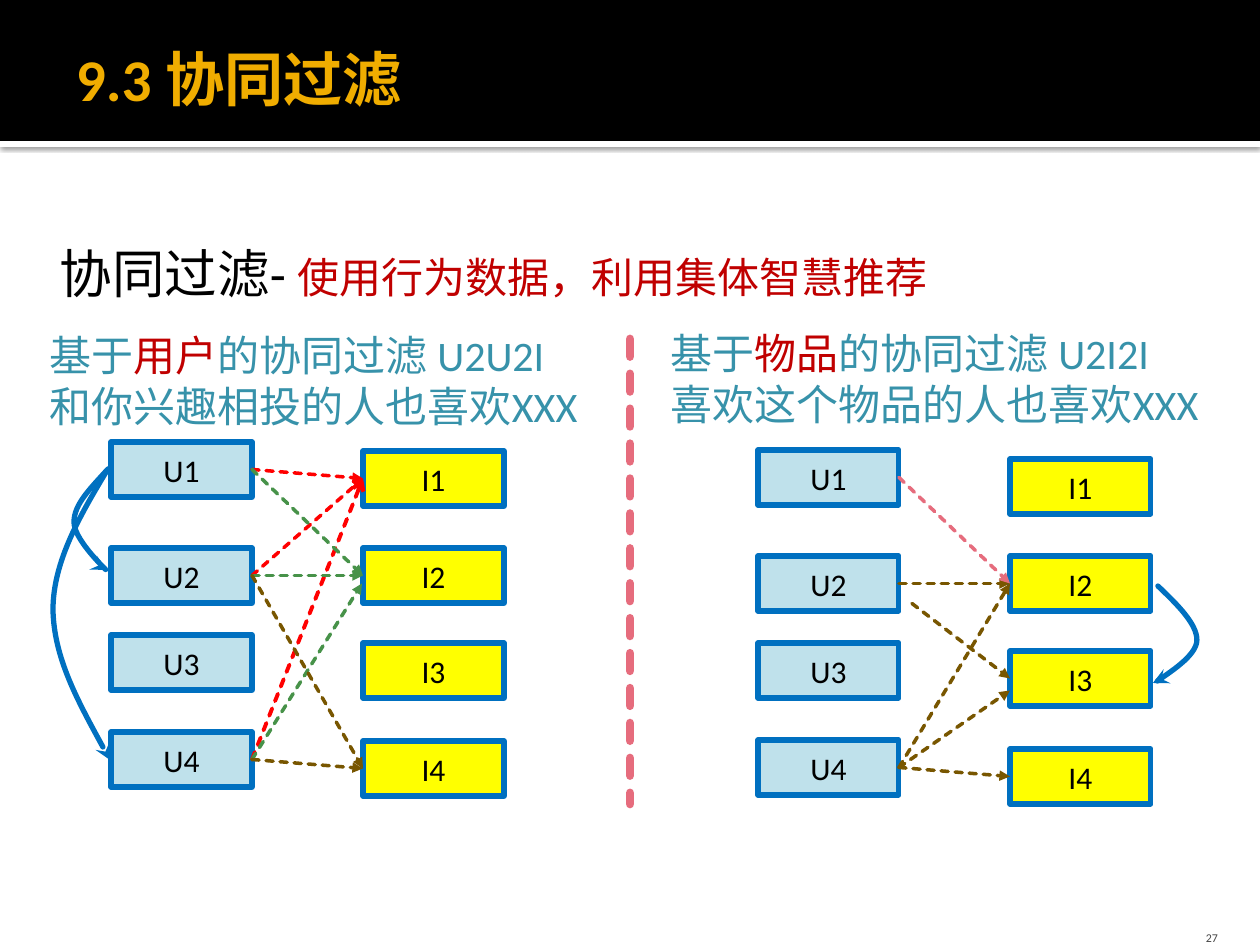
from lxml.etree import SubElement
from pptx import Presentation
from pptx.dml.color import RGBColor
from pptx.enum.dml import MSO_LINE
from pptx.enum.shapes import MSO_CONNECTOR, MSO_SHAPE
from pptx.enum.text import MSO_ANCHOR, MSO_AUTO_SIZE, PP_ALIGN
from pptx.oxml.ns import qn
from pptx.util import Pt

SCALE = 914400 / 126  # EMU per px
BLUE, TEAL, RED, PINK, BLACK = "0070C0", "3792AA", "C00000", "E66C7D", "000000"
GREEN, BROWN, BRIGHT_RED = "479249", "785600", "FF0000"
CJK = "Noto Sans CJK SC"

BOX_W, BOX_H = 141, 55
COLUMNS = {  # letter: (left, tops, fill)
    "U": (111, (442, 548, 635, 732), "BFE1EB"),
    "I": (363, (451, 548, 643, 741), "FFFF00"),
}
# links: user, item, colour, then format and offsets from the side middles
PANELS = [
    {
        "offset": (0, 0),
        "caption": (37, 324, "用户", "U2U2I", "和你兴趣相投的人也喜欢XXX"),
        "links": [
            ("U1", "I1", BRIGHT_RED, {}),
            ("U2", "I1", BRIGHT_RED, {}),
            ("U4", "I1", BRIGHT_RED, {"width": 2.25, "head": "arrow"}),
            ("U2", "I2", GREEN, {}),
            ("U1", "I2", GREEN, {}),
            ("U4", "I2", GREEN, {"end": (-1, 8)}),
            ("U2", "I4", BROWN, {}),
            ("U4", "I4", BROWN, {}),
        ],
        "curves": [
            [(107, 470), (91, 488), (74, 504), (74, 522), (74, 538), (107, 571),
             (107, 571), (112, 580), (110, 575), (107, 570)],
            [(108, 469), (81, 514), (53, 561), (53, 610), (54, 658), (82, 709),
             (110, 760)],
        ],
    },
    {
        "offset": (647, 8),
        "caption": (658, 322, "物品", "U2I2I", "喜欢这个物品的人也喜欢XXX"),
        "links": [
            ("U2", "I2", BROWN, {}),
            ("U2", "I3", BROWN, {"start": (13, 20)}),
            ("U4", "I2", BROWN, {}),
            ("U4", "I3", BROWN, {"end": (0, 12)}),
            ("U4", "I4", BROWN, {}),
            ("U1", "I2", PINK, {}),
        ],
        "curves": [
            [(1158, 586), (1178, 605), (1197, 624), (1197, 640), (1197, 656),
             (1162, 677), (1155, 683), (1148, 690), (1150, 687), (1153, 683)],
        ],
    },
]


def px(*values):
    return [round(v * SCALE) for v in values]


def rgb(color):
    return RGBColor.from_string(color)


def write(sp, paragraphs, font="Calibri", size=24, bold=False, align=PP_ALIGN.LEFT,
          anchor=MSO_ANCHOR.TOP, wrap=True, insets=(13, 6, 13, 6)):
    """Fill a shape with paragraphs, each a list of (text, colour, overrides)."""
    tf = sp.text_frame
    tf.auto_size = MSO_AUTO_SIZE.NONE if wrap else MSO_AUTO_SIZE.SHAPE_TO_FIT_TEXT
    tf.word_wrap, tf.vertical_anchor = wrap, anchor
    tf.margin_left, tf.margin_top, tf.margin_right, tf.margin_bottom = px(*insets)
    for i, runs in enumerate(paragraphs):
        p = tf.paragraphs[0] if i == 0 else tf.add_paragraph()
        p.alignment = align
        for text, color, own in runs:
            r = p.add_run()
            r.text = text
            r.font.name = own.get("font", font)
            r.font.size, r.font.bold = Pt(own.get("size", size)), bold
            r.font.color.rgb = rgb(color)
            SubElement(r.font._element, qn("a:ea"), typeface=CJK)


def add_text(s, box, paragraphs, **fmt):
    sp = s.shapes.add_textbox(*px(*box))
    write(sp, paragraphs, **fmt)


def add_rect(s, box, fill, line=None):
    sp = s.shapes.add_shape(MSO_SHAPE.RECTANGLE, *px(*box))
    sp.shadow.inherit = False
    sp.fill.solid()
    sp.fill.fore_color.rgb = rgb(fill)
    if line:
        sp.line.color.rgb, sp.line.width = rgb(line), Pt(3)
    else:
        sp.line.fill.background()
    return sp


def style_line(sp, color, width, dashed=False, head=None):
    sp.line.color.rgb, sp.line.width = rgb(color), Pt(width)
    if dashed:
        sp.line.dash_style = MSO_LINE.SQUARE_DOT
    ln = sp.element.xpath(".//a:ln")[0]
    ln.set("cap", "rnd")
    if head:
        SubElement(ln, qn("a:tailEnd"), type=head)


def add_dashed(s, start, end, color, width=2, head=None):
    c = s.shapes.add_connector(MSO_CONNECTOR.STRAIGHT, *px(*start, *end))
    style_line(c, color, width, True, head)
    SubElement(c.element.spPr, qn("a:effectLst"))
    return c


def add_curve(s, points):
    """Draw a Bézier arrow: a start point, then three points per segment."""
    builder = s.shapes.build_freeform(*points[0], scale=SCALE)
    builder.add_line_segments(points[1:], close=False)
    sp = builder.convert_to_shape()
    sp.shadow.inherit = False
    sp.fill.background()
    style_line(sp, BLUE, 3, head="stealth")
    outline = sp.element.xpath(".//a:path")[0]
    segments = outline.findall(qn("a:lnTo"))
    for i in range(0, len(segments), 3):
        bezier = SubElement(outline, qn("a:cubicBezTo"))
        for segment in segments[i:i + 3]:
            bezier.append(segment[0])
            outline.remove(segment)


def add_link(s, boxes, user, item, color, width=2, head="triangle", start=None, end=None):
    def side(name, right, shift):
        x, y = boxes[name][1]
        dx, dy = shift or (0, 0)
        return x + BOX_W * right + dx, y + BOX_H / 2 + dy

    c = add_dashed(s, side(user, 1, start), side(item, 0, end), color, width, head)
    if not start:
        c.begin_connect(boxes[user][0], 3)
    if not end:
        c.end_connect(boxes[item][0], 1)


def add_panel(s, panel):
    dx, dy = panel["offset"]
    boxes = {}
    for letter, (left, tops, fill) in COLUMNS.items():
        for i, top in enumerate(tops, 1):
            corner = left + dx, top + dy
            sp = add_rect(s, (*corner, BOX_W, BOX_H), fill, BLUE)
            write(sp, [[(f"{letter}{i}", BLACK, {})]], size=18,
                  align=PP_ALIGN.CENTER, anchor=MSO_ANCHOR.MIDDLE)
            boxes[f"{letter}{i}"] = sp, corner
    for user, item, color, fmt in panel["links"]:
        add_link(s, boxes, user, item, color, **fmt)
    for points in panel["curves"]:
        add_curve(s, points)
    left, top, basis, route, motto = panel["caption"]
    add_text(s, (left, top, 564, 115), [
        [("基于", TEAL, {}), (basis, RED, {}), (f"的协同过滤 {route}", TEAL, {})],
        [(motto, TEAL, {})],
    ], wrap=False)


def add_header(s):
    title = s.shapes.title
    stripe = add_rect(s, (0, 141, 1260, 6), "FFFFFF")
    shadow = SubElement(stripe.element.spPr.find(qn("a:effectLst")), qn("a:outerShdw"),
                        blurRad="31750", dist="10160", dir="5400000")
    tint = SubElement(shadow, qn("a:srgbClr"), val=BLACK)
    SubElement(tint, qn("a:alpha"), val="60000")
    for bar in (stripe, add_rect(s, (0, 0, 1260, 141), BLACK)):
        title.element.addprevious(bar.element)
    title.left, title.top, title.width, title.height = px(63, 10, 1134, 136)
    write(title, [[("9.3 协同过滤", "F0AD00", {})]], size=33.8, bold=True,
          anchor=MSO_ANCHOR.MIDDLE, insets=(13, 6, 6, 6))


def main():
    prs = Presentation()
    prs.slide_width, prs.slide_height = px(1260, 945)
    s = prs.slides.add_slide(prs.slide_layouts[5])
    add_header(s)
    add_text(s, (1130, 907, 101, 38), [[("27", "454545", {})]], size=6.8,
             align=PP_ALIGN.RIGHT, anchor=MSO_ANCHOR.BOTTOM, insets=(13, 6, 13, 0))
    add_text(s, (39, 228, 1205, 77), [[
        ("协同过滤- ", BLACK, {"size": 30}),
        ("使用行为数据，利用集体智慧推荐", RED, {"font": CJK}),
    ]], insets=(21, 13, 13, 6))
    for panel in PANELS:
        add_panel(s, panel)
    add_dashed(s, (630, 339), (630, 804), PINK, width=5)
    prs.save("out.pptx")


if __name__ == "__main__":
    main()
